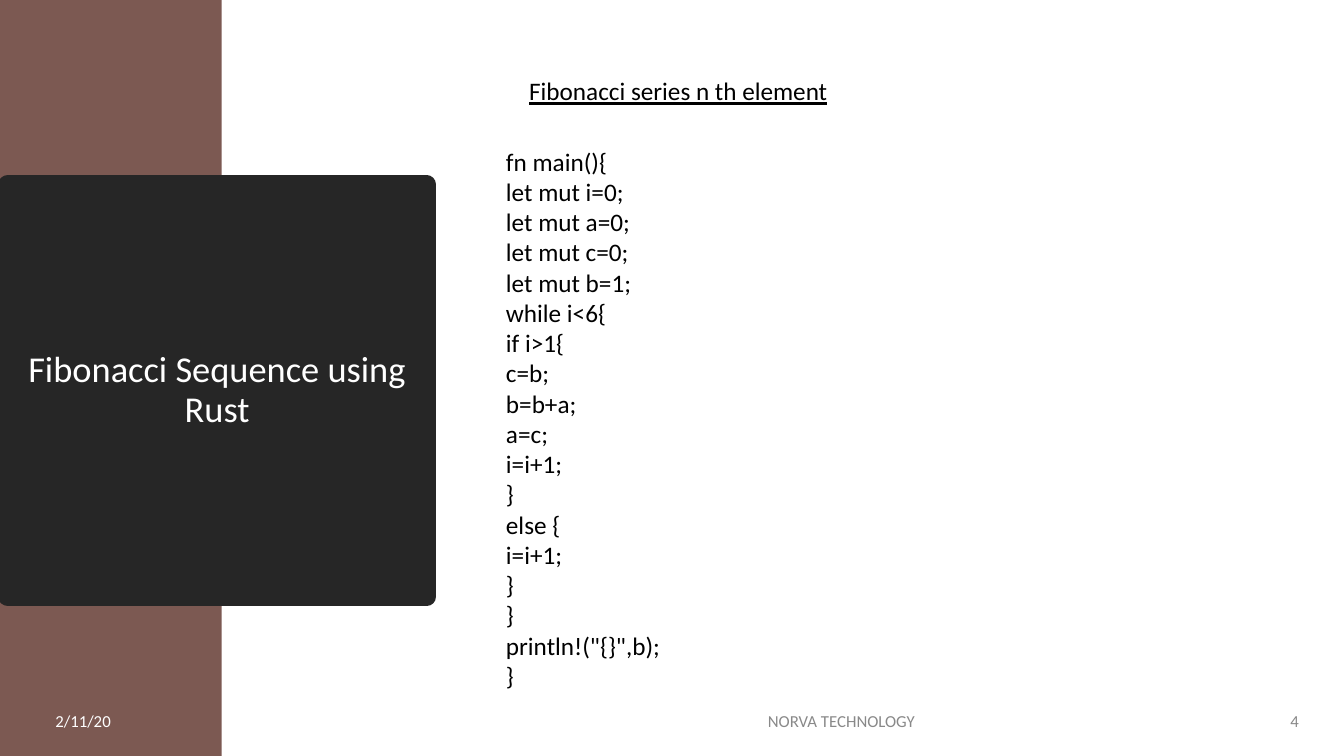
import pptx
import pptx.dml.color
import pptx.enum.shapes
import pptx.enum.text
import pptx.util

ALIGN = pptx.enum.text.PP_ALIGN
ANCHOR = pptx.enum.text.MSO_ANCHOR
AUTO_SIZE = pptx.enum.text.MSO_AUTO_SIZE
EMU_PER_PX = 9144  # 100 px to the inch

FIBONACCI_CODE = """fn main(){
let mut i=0;
let mut a=0;
let mut c=0;
let mut b=1;
while i<6{
if i>1{
c=b;
b=b+a;
a=c;
i=i+1;
}
else {
i=i+1;
}
}
println!("{}",b);
}"""


def px(length):
    return pptx.util.Emu(length * EMU_PER_PX)


def rgb(hex_colour):
    return pptx.dml.color.RGBColor.from_string(hex_colour)


class SlideBuilder:
    FONT = "Calibri"
    BROWN = "7C5952"
    CHARCOAL = "262626"
    WHITE = "FFFFFF"
    GREY = "898989"
    BLACK = "000000"

    def __init__(self, slide):
        self.slide = slide

    def set_text(self, frame, text, size, colour, align=ALIGN.LEFT,
                 underline=None, space_after=None, line_spacing=None):
        """Fill a text frame, one paragraph for each line of text."""
        frame.word_wrap = True
        frame.text = text
        for paragraph in frame.paragraphs:
            paragraph.alignment = align
            paragraph.line_spacing = line_spacing
            paragraph.space_after = space_after
            paragraph.font.name = self.FONT
            paragraph.font.size = pptx.util.Pt(size)
            paragraph.font.color.rgb = rgb(colour)
            paragraph.font.underline = underline

    def side_band(self, left, top, width, height):
        """Add a plain band behind the title panel."""
        band = self.slide.shapes.add_shape(
            pptx.enum.shapes.MSO_SHAPE.RECTANGLE,
            px(left), px(top), px(width), px(height))
        band.shadow.inherit = False
        band.fill.solid()
        band.fill.fore_color.rgb = rgb(self.BROWN)
        band.line.fill.background()
        self.slide.shapes.title._element.addprevious(band._element)

    def title_panel(self, left, top, width, height, text):
        """Turn the title placeholder into a dark panel with a thick edge."""
        title = self.slide.shapes.title
        title.left, title.top = px(left), px(top)
        title.width, title.height = px(width), px(height)
        title.fill.solid()
        title.fill.fore_color.rgb = rgb(self.CHARCOAL)
        title.line.color.rgb = rgb(self.CHARCOAL)
        title.line.width = pptx.util.Pt(13.75)
        title.text_frame.auto_size = AUTO_SIZE.NONE
        title.text_frame.vertical_anchor = ANCHOR.MIDDLE
        self.set_text(title.text_frame, text, 26, self.WHITE, ALIGN.CENTER,
                      line_spacing=0.9)

    def text_box(self, left, top, width, height):
        return self.slide.shapes.add_textbox(
            px(left), px(top), px(width), px(height)).text_frame

    def body_text(self, left, top, width, height, text, underline=None):
        frame = self.text_box(left, top, width, height)
        frame.auto_size = AUTO_SIZE.SHAPE_TO_FIT_TEXT
        self.set_text(frame, text, 18, self.BLACK, underline=underline)

    def footer_text(self, left, width, text, colour, align):
        frame = self.text_box(left, 695, width, 40)
        frame.vertical_anchor = ANCHOR.MIDDLE
        self.set_text(frame, text, 12, colour, align,
                      space_after=pptx.util.Pt(6))


def main():
    presentation = pptx.Presentation()
    presentation.slide_width = px(1333)
    presentation.slide_height = px(750)
    title_only = presentation.slide_layouts[5]
    builder = SlideBuilder(presentation.slides.add_slide(title_only))

    builder.side_band(0, 0, 220, 750)
    builder.title_panel(8, 183, 415, 409, "Fibonacci Sequence using Rust")
    builder.footer_text(45, 162, "2/11/20", builder.WHITE, ALIGN.LEFT)
    builder.footer_text(450, 769, "NORVA TECHNOLOGY", builder.GREY, ALIGN.CENTER)
    builder.footer_text(1237, 61, "4", builder.GREY, ALIGN.RIGHT)
    builder.body_text(515, 70, 639, 40, "Fibonacci series n th element",
                      underline=True)
    builder.body_text(492, 140, 675, 586, FIBONACCI_CODE)

    presentation.save("out.pptx")


if __name__ == "__main__":
    main()
